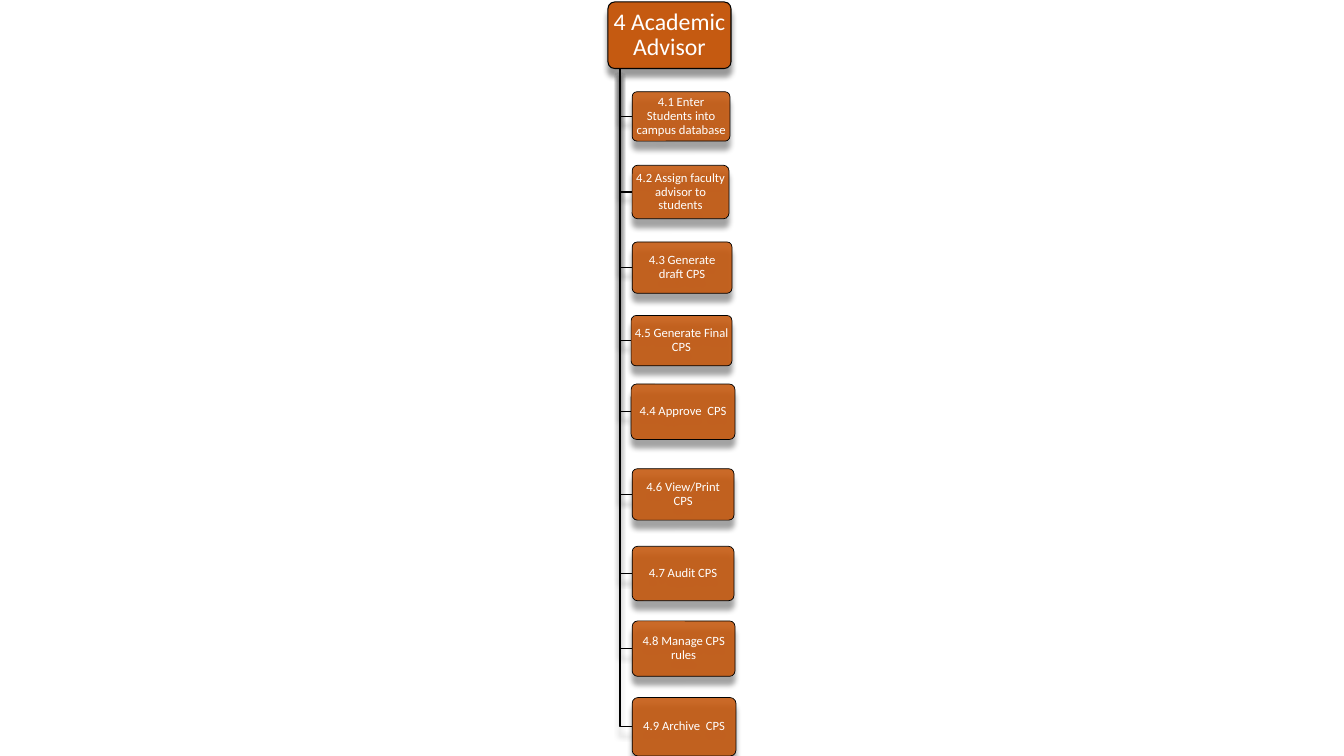
from dataclasses import dataclass

from lxml.etree import SubElement
from pptx import Presentation
from pptx.dml.color import RGBColor
from pptx.enum.shapes import MSO_SHAPE
from pptx.enum.text import MSO_ANCHOR, MSO_AUTO_SIZE, PP_ALIGN
from pptx.oxml.ns import qn
from pptx.util import Inches, Pt

COLORS = {"box": "C55A11", "line": "000000", "text": "FFFFFF"}
FONT = "Calibri"
TRUNK_X = 6.15


@dataclass(frozen=True)
class Box:
    text: str
    left: float
    top: float
    width: float
    height: float

    @property
    def middle(self) -> float:
        return self.top + self.height / 2

    @property
    def bottom(self) -> float:
        return self.top + self.height


ADVISOR = Box("4 Academic Advisor", 6.03, 0.02, 1.22, 0.66)
STEPS = [
    Box("4.1 Enter Students into campus database", 6.27, 0.91, 0.97, 0.49),
    Box("4.2 Assign faculty advisor to students", 6.27, 1.64, 0.96, 0.53),
    Box("4.3 Generate draft CPS", 6.27, 2.4, 0.99, 0.51),
    Box("4.4 Approve  CPS", 6.26, 3.81, 1.03, 0.55),
    Box("4.5 Generate Final CPS", 6.26, 3.13, 1, 0.5),
    Box("4.6 View/Print CPS", 6.27, 4.65, 1.01, 0.51),
    Box("4.7 Audit CPS", 6.27, 5.42, 1.01, 0.54),
    Box("4.8 Manage CPS rules", 6.27, 6.16, 1.02, 0.55),
    Box("4.9 Archive  CPS", 6.27, 6.92, 1.03, 0.58),
]


def color(name: str) -> RGBColor:
    return RGBColor.from_string(COLORS[name])


def add_shadow(shape) -> None:
    """Soft shadow straight below the shape."""
    shape.shadow.inherit = False
    effects = shape.element.spPr.find(qn("a:effectLst"))
    shadow = SubElement(effects, qn("a:outerShdw"), blurRad=str(Pt(4)),
                        dist=str(Pt(6)), dir="5400000", rotWithShape="0")
    black = SubElement(shadow, qn("a:srgbClr"), val=COLORS["line"])
    SubElement(black, qn("a:alpha"), val="40000")


def set_line(shape, width: float) -> None:
    shape.line.color.rgb = color("line")
    shape.line.width = Pt(width)


def write(shape, text: str, *, size: float, inset_x: float, inset_y: float) -> None:
    frame = shape.text_frame
    frame.word_wrap = True
    frame.auto_size = MSO_AUTO_SIZE.NONE
    frame.vertical_anchor = MSO_ANCHOR.MIDDLE
    frame.margin_left = frame.margin_right = Inches(inset_x)
    frame.margin_top = frame.margin_bottom = Inches(inset_y)
    paragraph = frame.paragraphs[0]
    paragraph.alignment = PP_ALIGN.CENTER
    paragraph.line_spacing = 0.9
    run = paragraph.add_run()
    run.text = text
    run.font.name = FONT
    run.font.size = Pt(size)
    run.font.color.rgb = color("text")


def draw_box(slide, box: Box, line_width: float, opacity: int = 100):
    shape = slide.shapes.add_shape(
        MSO_SHAPE.ROUNDED_RECTANGLE, Inches(box.left), Inches(box.top),
        Inches(box.width), Inches(box.height))
    shape.adjustments[0] = 0.1
    shape.fill.solid()
    shape.fill.fore_color.rgb = color("box")
    if opacity < 100:
        fill_color = shape.element.spPr.find(qn("a:solidFill"))[0]
        SubElement(fill_color, qn("a:alpha"), val=str(opacity * 1000))
    set_line(shape, line_width)
    add_shadow(shape)
    return shape


def draw_branch(slide, step: Box) -> None:
    """Elbow from the advisor box down the trunk to a step."""
    trunk, middle = Inches(TRUNK_X), Inches(step.middle)
    builder = slide.shapes.build_freeform(trunk, Inches(ADVISOR.bottom))
    builder.add_line_segments(
        [(trunk, middle), (Inches(step.left), middle)], close=False)
    branch = builder.convert_to_shape()
    branch.fill.background()
    set_line(branch, 1)
    add_shadow(branch)


presentation = Presentation()
presentation.slide_width = Inches(13.33)
presentation.slide_height = Inches(7.5)
slide = presentation.slides.add_slide(presentation.slide_layouts[5])

# Advisor at the top, with the slide title on its box
advisor = draw_box(slide, ADVISOR, 0.75)
title = slide.shapes.title
title.left, title.top = Inches(ADVISOR.left), Inches(ADVISOR.top)
title.width, title.height = Inches(ADVISOR.width), Inches(ADVISOR.height)
write(title, ADVISOR.text, size=17, inset_x=0.02, inset_y=0.02)
advisor.element.addnext(title.element)

# Steps hanging from the trunk
for step in STEPS:
    draw_branch(slide, step)
    step_box = draw_box(slide, step, 0.5, opacity=90)
    write(step_box, step.text, size=9, inset_x=0.02, inset_y=0.01)

presentation.save("out.pptx")
